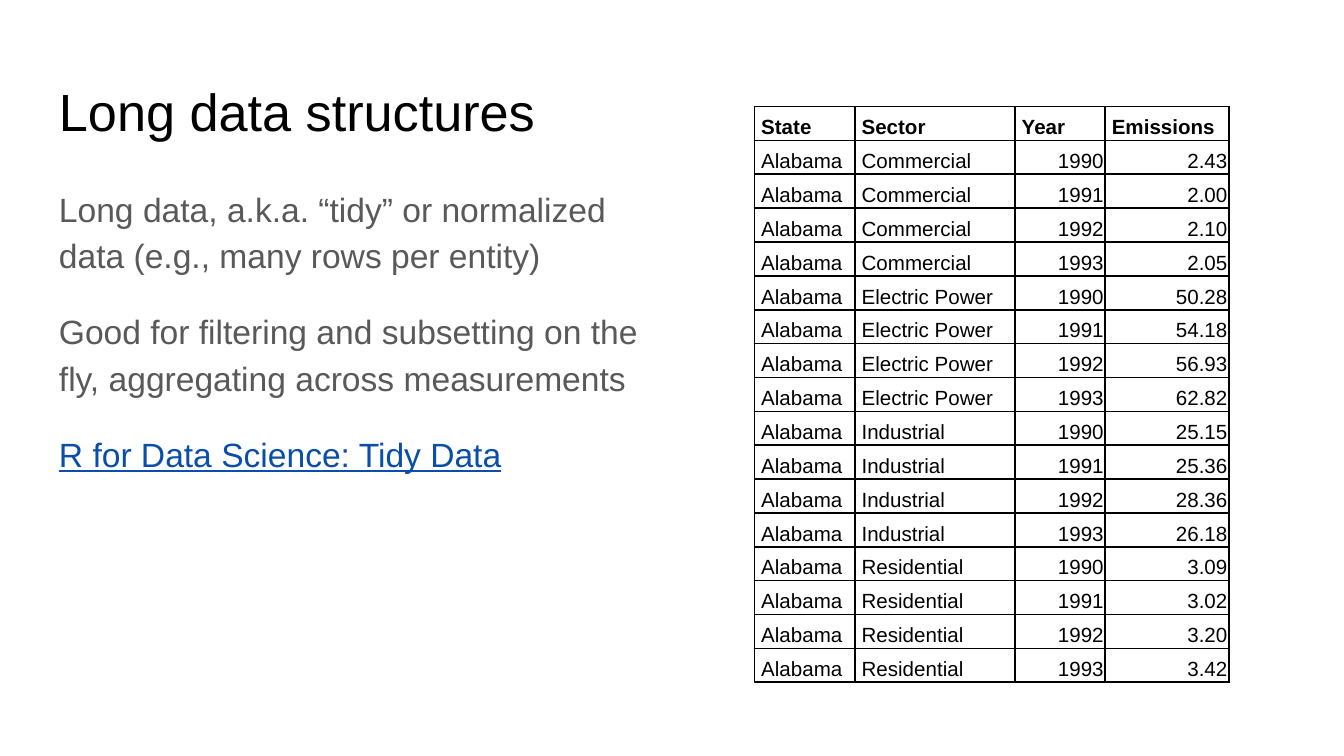
from lxml import etree
from pptx import Presentation
from pptx.dml.color import RGBColor
from pptx.enum.text import MSO_ANCHOR, PP_ALIGN
from pptx.oxml.ns import qn
from pptx.util import Pt

BOTTOM = MSO_ANCHOR.BOTTOM
LEFT = PP_ALIGN.LEFT
RIGHT = PP_ALIGN.RIGHT

BLACK = RGBColor(0x00, 0x00, 0x00)
GREY = RGBColor(0x59, 0x59, 0x59)
LINK_BLUE = RGBColor(0x09, 0x4F, 0xAA)

HEADERS = ["State", "Sector", "Year", "Emissions"]
STATE = "Alabama"
FIRST_YEAR = 1990
EMISSIONS = {
    "Commercial": ["2.43", "2.00", "2.10", "2.05"],
    "Electric Power": ["50.28", "54.18", "56.93", "62.82"],
    "Industrial": ["25.15", "25.36", "28.36", "26.18"],
    "Residential": ["3.09", "3.02", "3.20", "3.42"],
}
COLUMN_WIDTHS = [53.8, 85.8, 48.3, 66.3]
ROW_HEIGHT = 18.15
BODY = [
    ("Long data, a.k.a. “tidy” or normalized data (e.g., many rows per entity)", GREY, False),
    ("Good for filtering and subsetting on the fly, aggregating across measurements", GREY, False),
    ("R for Data Science: Tidy Data", LINK_BLUE, True),
]


class SlideBuilder:
    """Holds the text style and the current slide, and adds elements to it."""

    def __init__(self, slide, font_name="Arial"):
        self.slide = slide
        self.font_name = font_name

    def run(self, paragraph, text, size, color, bold=False, underline=False):
        run = paragraph.add_run()
        run.text = text
        font = run.font
        font.name = self.font_name
        font.size = Pt(size)
        font.color.rgb = color
        font.bold = bold
        font.underline = underline

    def text(self, left, top, width, height, lines, size, spacing=1.0, gap=0):
        shape = self.slide.shapes.add_textbox(Pt(left), Pt(top), Pt(width), Pt(height))
        frame = shape.text_frame
        frame.word_wrap = True
        frame.margin_left = frame.margin_right = Pt(7.2)
        frame.margin_top = frame.margin_bottom = Pt(7.2)
        for index, (text, color, underline) in enumerate(lines):
            paragraph = frame.add_paragraph() if index else frame.paragraphs[0]
            paragraph.line_spacing = spacing
            paragraph.space_before = Pt(gap if index else 0)
            self.run(paragraph, text, size, color, underline=underline)

    def borders(self, cell, color, width):
        properties = cell._tc.get_or_add_tcPr()
        for side in ("a:lnL", "a:lnR", "a:lnT", "a:lnB"):
            line = etree.SubElement(properties, qn(side), w=str(Pt(width)))
            fill = etree.SubElement(line, qn("a:solidFill"))
            etree.SubElement(fill, qn("a:srgbClr"), val=str(color))

    def cell(self, cell, text, bold, alignment):
        self.borders(cell, BLACK, 1)
        cell.fill.background()
        cell.vertical_anchor = BOTTOM
        cell.margin_left = Pt(3.6)
        cell.margin_right = cell.margin_top = cell.margin_bottom = Pt(0.75)
        paragraph = cell.text_frame.paragraphs[0]
        paragraph.alignment = alignment
        self.run(paragraph, text, 11, BLACK, bold=bold)

    def table(self, left, top, widths, row_height, rows):
        shape = self.slide.shapes.add_table(
            len(rows), len(widths), Pt(left), Pt(top),
            Pt(sum(widths)), Pt(row_height * len(rows)))
        table = shape.table
        table.first_row = False
        table.horz_banding = False
        for column, width in zip(table.columns, widths):
            column.width = Pt(width)
        for row_index, values in enumerate(rows):
            table.rows[row_index].height = Pt(row_height)
            for column_index, value in enumerate(values):
                is_header = row_index == 0
                is_number = not is_header and column_index >= 2
                self.cell(table.cell(row_index, column_index), value,
                          is_header, RIGHT if is_number else LEFT)


def main():
    presentation = Presentation()
    presentation.slide_width = Pt(720)
    presentation.slide_height = Pt(405)
    slide = presentation.slides.add_slide(presentation.slide_layouts[6])
    builder = SlideBuilder(slide)

    builder.text(24.5, 35, 671, 45.1, [("Long data structures", BLACK, False)], 28)
    builder.text(24.5, 90.75, 327.6, 269.1, BODY, 18, spacing=1.15, gap=16)

    records = [
        [STATE, sector, str(year), value]
        for sector, values in EMISSIONS.items()
        for year, value in enumerate(values, FIRST_YEAR)
    ]
    builder.table(404.2, 57.1, COLUMN_WIDTHS, ROW_HEIGHT, [HEADERS] + records)

    presentation.save("out.pptx")


if __name__ == "__main__":
    main()
